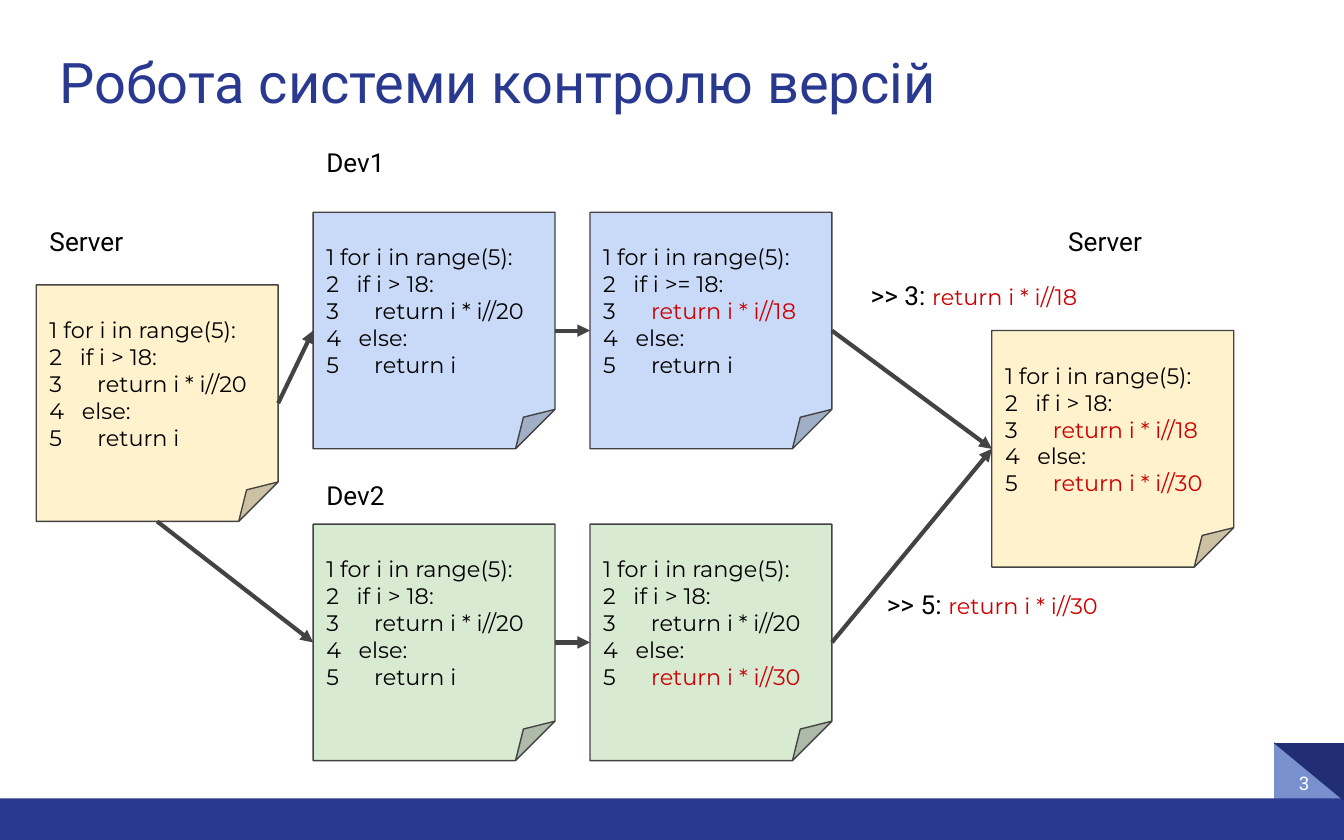
from dataclasses import dataclass
from typing import NamedTuple

from lxml import etree
from pptx import Presentation
from pptx.dml.color import RGBColor
from pptx.enum import shapes, text
from pptx.oxml import ns
from pptx.util import Inches, Pt


@dataclass(frozen=True)
class Theme:
    navy: str = "2A3990"
    dark_navy: str = "212D74"
    light_blue: str = "7890CD"
    white: str = "FFFFFF"
    ink: str = "000000"
    outline: str = "434343"
    change: str = "CC0000"
    server: str = "FFF2CC"
    dev1: str = "C9DAF8"
    dev2: str = "D9EAD3"
    text_font: str = "Roboto"
    code_font: str = "Montserrat"
    title_size: float = 30
    label_size: float = 14
    code_size: float = 12
    number_size: float = 10
    sheet_line: float = 0.75
    arrow_line: float = 2.25


THEME = Theme()
SHEET_WIDTH, SHEET_HEIGHT = 1.8, 1.76
LABEL_WIDTH, LABEL_HEIGHT = 0.86, 0.44
SERVER_LEFT, DEV_LEFT, EDITED_LEFT, MERGED_LEFT = 0.27, 2.33, 4.39, 7.38
DEV1_TOP, DEV2_TOP = 1.58, 3.9
TOP, LEFT, BOTTOM, RIGHT = range(4)  # connection sites of a sheet
OLD_RETURN, OLD_ELSE = "return i * i//20", "return i"
DEV1_RETURN, DEV2_RETURN = "return i * i//18", "return i * i//30"


class Run(NamedTuple):
    text: str
    size: float = THEME.code_size
    font: str = THEME.code_font
    color: str = THEME.ink


class Sheet(NamedTuple):
    name: str
    left: float
    top: float
    fill: str
    condition: str = "if i > 18:"
    if_return: str = OLD_RETURN
    else_return: str = OLD_ELSE


class Label(NamedTuple):
    left: float
    top: float
    text: str
    changed_code: str = ""


class Arrow(NamedTuple):
    start: str
    start_site: int
    end: str


SHEETS = (
    Sheet("server", SERVER_LEFT, 2.12, THEME.server),
    Sheet("dev1", DEV_LEFT, DEV1_TOP, THEME.dev1),
    Sheet("dev2", DEV_LEFT, DEV2_TOP, THEME.dev2),
    Sheet("dev1 edited", EDITED_LEFT, DEV1_TOP, THEME.dev1,
          condition="if i >= 18:", if_return=DEV1_RETURN),
    Sheet("dev2 edited", EDITED_LEFT, DEV2_TOP, THEME.dev2, else_return=DEV2_RETURN),
    Sheet("merged", MERGED_LEFT, 2.46, THEME.server,
          if_return=DEV1_RETURN, else_return=DEV2_RETURN),
)
LABELS = (
    Label(SERVER_LEFT, 1.58, "Server"),
    Label(DEV_LEFT, 0.99, "Dev1"),
    Label(DEV_LEFT, 3.47, "Dev2"),
    Label(7.85, 1.58, "Server"),
    Label(6.5, 4.28, ">> 5: ", DEV2_RETURN),
    Label(6.38, 1.98, ">> 3: ", DEV1_RETURN),
)
ARROWS = (
    Arrow("server", RIGHT, "dev1"),
    Arrow("server", BOTTOM, "dev2"),
    Arrow("dev1", RIGHT, "dev1 edited"),
    Arrow("dev2", RIGHT, "dev2 edited"),
    Arrow("dev1 edited", RIGHT, "merged"),
    Arrow("dev2 edited", RIGHT, "merged"),
)


def write_text(shape, lines: list[list[Run]], *, align=text.PP_ALIGN.LEFT,
               anchor=text.MSO_ANCHOR.TOP, auto_size=text.MSO_AUTO_SIZE.NONE) -> None:
    frame = shape.text_frame
    frame.word_wrap = True
    frame.auto_size = auto_size
    frame.vertical_anchor = anchor
    frame.margin_left = frame.margin_right = Inches(0.1)
    frame.margin_top = frame.margin_bottom = Inches(0.1)
    for index, line in enumerate(lines):
        paragraph = frame.add_paragraph() if index else frame.paragraphs[0]
        paragraph.alignment = align
        for item in line:
            run = paragraph.add_run()
            run.text = item.text
            run.font.name = item.font
            run.font.size = Pt(item.size)
            run.font.color.rgb = RGBColor.from_string(item.color)


def add_box(slide, kind, left: float, top: float, width: float, height: float, fill: str):
    shape = slide.shapes.add_shape(
        kind, Inches(left), Inches(top), Inches(width), Inches(height))
    shape.shadow.inherit = False
    shape.fill.solid()
    shape.fill.fore_color.rgb = RGBColor.from_string(fill)
    shape.line.fill.background()
    return shape


def code_lines(sheet: Sheet) -> list[list[Run]]:
    """Number the code and colour the returns that differ from the first version."""
    code = (
        (0, "for i in range(5):", False),
        (2, sheet.condition, False),
        (5, sheet.if_return, sheet.if_return != OLD_RETURN),
        (2, "else:", False),
        (5, sheet.else_return, sheet.else_return != OLD_ELSE),
    )
    return [
        [Run(f"{number} " + " " * indent),
         Run(line, color=THEME.change if changed else THEME.ink)]
        for number, (indent, line, changed) in enumerate(code, start=1)
    ]


def add_sheet(slide, sheet: Sheet):
    shape = add_box(slide, shapes.MSO_SHAPE.FOLDED_CORNER, sheet.left, sheet.top,
                    SHEET_WIDTH, SHEET_HEIGHT, sheet.fill)
    shape.line.color.rgb = RGBColor.from_string(THEME.outline)
    shape.line.width = Pt(THEME.sheet_line)
    write_text(shape, code_lines(sheet), anchor=text.MSO_ANCHOR.MIDDLE)
    return shape


def add_label(slide, label: Label) -> None:
    runs = [Run(label.text, THEME.label_size, THEME.text_font)]
    if label.changed_code:
        runs.append(Run(label.changed_code, color=THEME.change))
    width = 1.92 if label.changed_code else LABEL_WIDTH
    box = slide.shapes.add_textbox(
        Inches(label.left), Inches(label.top), Inches(width), Inches(LABEL_HEIGHT))
    write_text(box, [runs], auto_size=text.MSO_AUTO_SIZE.SHAPE_TO_FIT_TEXT)


def add_arrow(slide, arrow: Arrow, sheets: dict) -> None:
    connector = slide.shapes.add_connector(shapes.MSO_CONNECTOR.STRAIGHT, 0, 0, 0, 0)
    connector.begin_connect(sheets[arrow.start], arrow.start_site)
    connector.end_connect(sheets[arrow.end], LEFT)
    connector.line.color.rgb = RGBColor.from_string(THEME.outline)
    connector.line.width = Pt(THEME.arrow_line)
    etree.SubElement(connector.line._get_or_add_ln(), ns.qn("a:tailEnd"), type="triangle")
    etree.SubElement(connector._element.spPr, ns.qn("a:effectLst"))


def add_title(slide, title: str) -> None:
    shape = slide.shapes.title
    shape.left, shape.top = Inches(0.34), Inches(0.25)
    shape.width, shape.height = Inches(9.32), Inches(0.74)
    write_text(shape, [[Run(title, THEME.title_size, THEME.text_font, THEME.navy)]])


def add_footer(slide, page: str) -> None:
    triangle = shapes.MSO_SHAPE.RIGHT_TRIANGLE
    add_box(slide, triangle, 9.48, 5.52, 0.52, 0.43, THEME.light_blue)
    add_box(slide, shapes.MSO_SHAPE.RECTANGLE, 0, 5.94, 10, 0.31, THEME.navy)
    add_box(slide, triangle, 9.48, 5.53, 0.52, 0.43, THEME.dark_navy).rotation = 180
    number = slide.shapes.add_textbox(Inches(9.26), Inches(5.59), Inches(0.58), Inches(0.47))
    write_text(number, [[Run(page, THEME.number_size, THEME.text_font, THEME.white)]],
               align=text.PP_ALIGN.RIGHT, anchor=text.MSO_ANCHOR.MIDDLE)


def main() -> None:
    presentation = Presentation()
    presentation.slide_width, presentation.slide_height = Inches(10), Inches(6.25)
    slide = presentation.slides.add_slide(presentation.slide_layouts.get_by_name("Title Only"))
    add_footer(slide, "3")
    add_title(slide, "Робота системи контролю версій")
    sheets = {sheet.name: add_sheet(slide, sheet) for sheet in SHEETS}
    for label in LABELS:
        add_label(slide, label)
    for arrow in ARROWS:
        add_arrow(slide, arrow, sheets)
    presentation.save("out.pptx")


if __name__ == "__main__":
    main()
